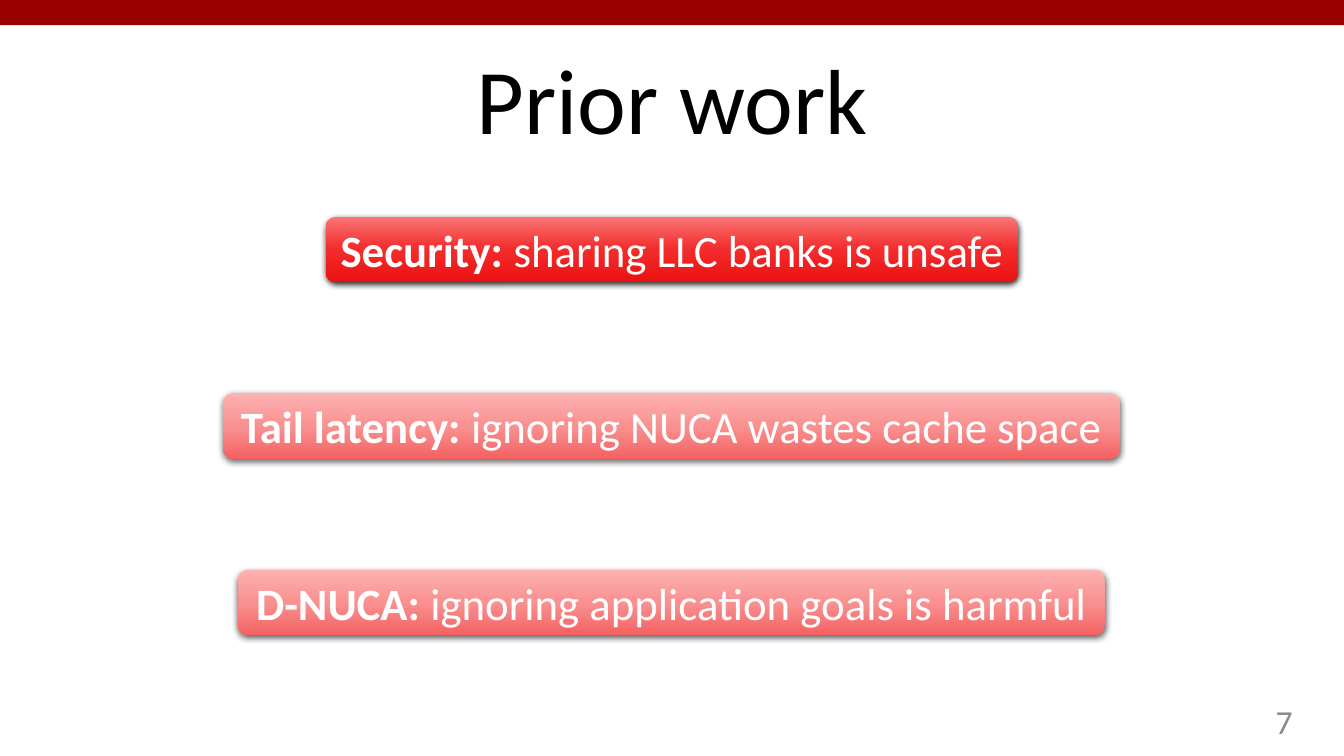
from lxml.etree import SubElement
from pptx import Presentation
from pptx.dml.color import RGBColor
from pptx.enum.shapes import MSO_SHAPE as Shape
from pptx.enum.text import MSO_ANCHOR as Anchor, PP_ALIGN as Align
from pptx.oxml.ns import qn
from pptx.util import Emu, Pt

PX = 9144
WIDTH, HEIGHT = 1333, 750
FADED = ("FCB2B2", "F99191", "F46262")
VIVID = ("FA7676", "F32B2B", "EB1111")


def px(length):
    return Emu(length * PX)


def colour(value):
    return RGBColor.from_string(value)


class PageBuilder:
    """Draws the elements of one page in a shared style."""

    font = "Calibri"

    def __init__(self, page):
        self.page = page

    def add_spans(self, frame, spans, size, tint, align, anchor):
        frame.word_wrap = True
        frame.vertical_anchor = anchor
        para = frame.paragraphs[0]
        para.alignment = align
        for text, bold in spans:
            span = para.add_run()
            span.text = text
            span.font.name = self.font
            span.font.size = Pt(size)
            span.font.bold = bold
            span.font.color.rgb = colour(tint)
        return para

    def text(self, area, content, size, tint, align, anchor):
        box = self.page.shapes.add_textbox(*map(px, area))
        para = self.add_spans(box.text_frame, [(content, False)], size, tint, align, anchor)
        return box.text_frame, para

    def shape(self, kind, area):
        box = self.page.shapes.add_shape(kind, *map(px, area))
        box.shadow.inherit = False
        box.line.fill.background()
        return box

    def bar(self, area, tint):
        box = self.shape(Shape.RECTANGLE, area)
        box.fill.solid()
        box.fill.fore_color.rgb = colour(tint)

    def title(self, area, content):
        frame, para = self.text(area, content, 66, "000000", Align.CENTER, Anchor.TOP)
        frame.margin_top = px(9)
        para.line_spacing = 0.9

    def claim(self, top, width, topic, finding, tints, shadow_alpha):
        left = (WIDTH - width) // 2
        box = self.shape(Shape.ROUNDED_RECTANGLE, (left, top, width, 65))
        self.gradient(box, tints)
        self.drop_shadow(box, shadow_alpha)
        spans = [(topic + ": ", True), (finding, False)]
        self.add_spans(box.text_frame, spans, 32, "FFFFFF", Align.CENTER, Anchor.MIDDLE)

    def gradient(self, box, tints):
        box.fill.gradient()
        box.fill.gradient_angle = 270
        stops = box._element.spPr.find(".//" + qn("a:gsLst"))
        for stop in list(stops):
            stops.remove(stop)
        for index, tint in enumerate(tints):
            position = index * 100000 // (len(tints) - 1)
            stop = SubElement(stops, qn("a:gs"), pos=str(position))
            SubElement(stop, qn("a:srgbClr"), val=tint)

    def drop_shadow(self, box, alpha):
        effects = box._element.spPr.find(qn("a:effectLst"))
        shadow = SubElement(
            effects, qn("a:outerShdw"), blurRad=str(Pt(4.5)), dist=str(Pt(1.5)),
            dir="5400000", algn="ctr", rotWithShape="0",
        )
        tint = SubElement(shadow, qn("a:srgbClr"), val="000000")
        SubElement(tint, qn("a:alpha"), val=str(alpha * 1000))


def main():
    deck = Presentation()
    deck.slide_width, deck.slide_height = px(WIDTH), px(HEIGHT)
    builder = PageBuilder(deck.slides.add_slide(deck.slide_layouts[6]))

    builder.bar((0, 0, WIDTH, 25), "990000")
    builder.title((42, 45, 1250, 85), "Prior work")
    builder.text((992, 695, 300, 40), "7", 24, "8C8C8C", Align.RIGHT, Anchor.MIDDLE)

    claims = [
        (687, "Security", "sharing LLC banks is unsafe", VIVID, 86),
        (890, "Tail latency", "ignoring NUCA wastes cache space", FADED, 63),
        (860, "D-NUCA", "ignoring application goals is harmful", FADED, 63),
    ]
    for row, claim in enumerate(claims):
        builder.claim(215 + row * 175, *claim)

    deck.save("out.pptx")


if __name__ == "__main__":
    main()
